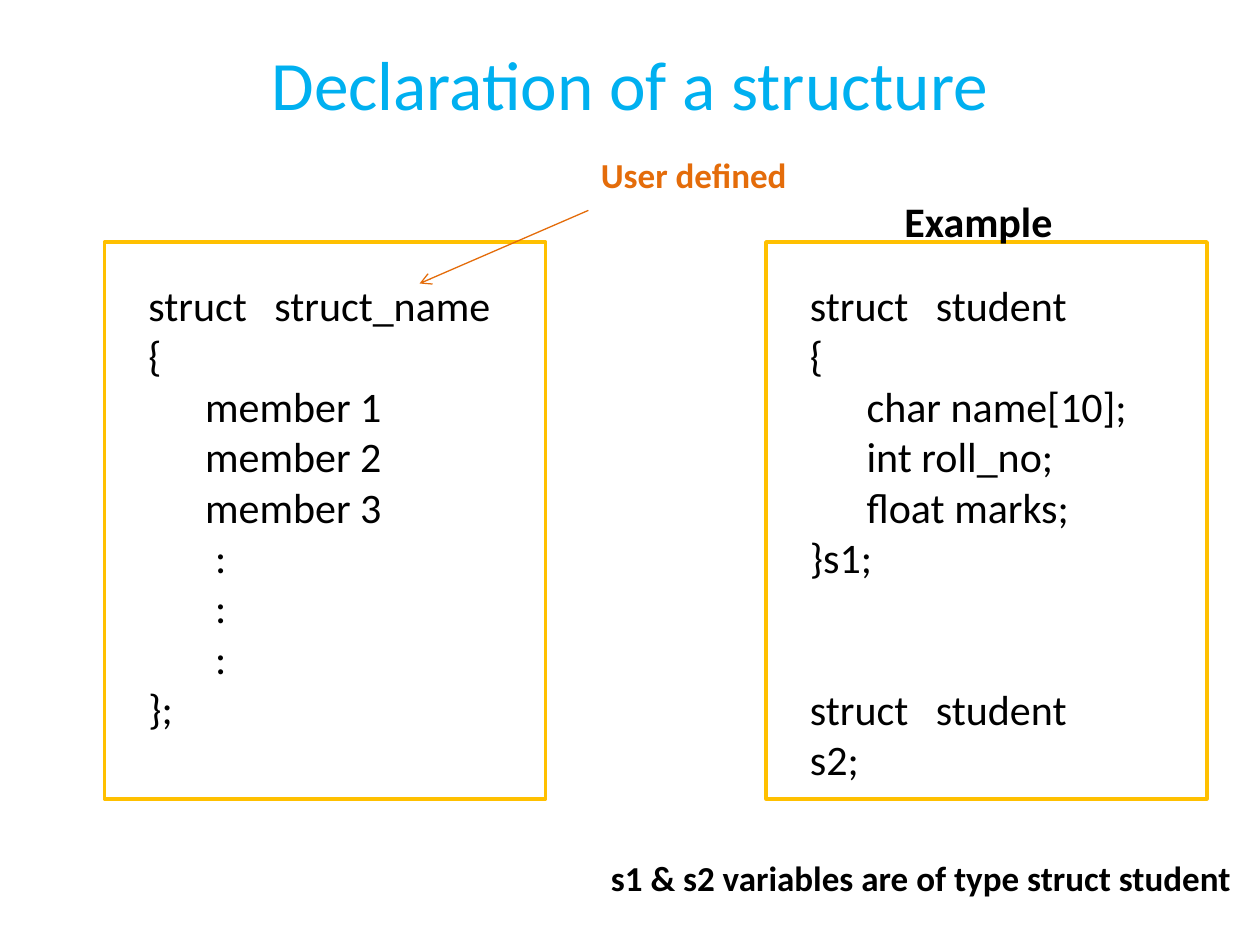
from pptx import Presentation
from pptx.dml.color import RGBColor as Rgb
from pptx.enum.shapes import MSO_CONNECTOR as Link, MSO_SHAPE as Shape
from pptx.enum.text import MSO_ANCHOR as Anchor, PP_ALIGN as Align
from pptx.oxml.xmlchemy import OxmlElement as Node
from pptx.util import Inches, Pt

HUES = {"title": "00B0F0", "text": "000000", "box": "FFC000", "note": "E46C0A"}
STEP, DOTS = 0.45, 0.53

LEFT = [
    ("struct\tstruct_name", 0, [1.01]),
    ("{", 0, []),
    ("member 1", STEP, []),
    ("member 2", STEP, []),
    ("member 3", STEP, []),
    (":", DOTS, []),
    (":", DOTS, []),
    (":", DOTS, []),
    ("};", 0, []),
]
RIGHT = [
    ("struct\tstudent", 0, [1.01]),
    ("{", 0, []),
    ("char name[10];", STEP, []),
    ("int roll_no;", STEP, []),
    ("float marks;", STEP, []),
    ("}s1;", 0, []),
    ("struct\tstudent\ts2;", 0, [0.94, 2.13]),
]


class Page:
    font = "Calibri"

    def __init__(self, deck):
        self.slide = deck.slides.add_slide(deck.slide_layouts[5])
        self.shapes = self.slide.shapes

    def style(self, para, size, hue, bold=False):
        for run in para.runs:
            font = run.font
            font.name, font.size, font.bold = self.font, Pt(size), bold
            font.color.rgb = Rgb.from_string(HUES[hue])

    def title(self, text):
        head = self.shapes.title
        head.left, head.top = Inches(0.5), Inches(0.33)
        head.width, head.height = Inches(9), Inches(1.25)
        frame = head.text_frame
        frame.text = text
        frame.vertical_anchor = Anchor.TOP
        frame.margin_top = 0
        para = frame.paragraphs[0]
        para.alignment = Align.CENTER
        self.style(para, 39.6, "title")

    def frame(self, x, y, w, h):
        box = self.shapes.add_textbox(Inches(x), Inches(y), Inches(w), Inches(h))
        box.text_frame.word_wrap = True
        return box.text_frame

    def label(self, text, x, y, w, h, size, hue="text"):
        frame = self.frame(x, y, w, h)
        frame.text = text
        self.style(frame.paragraphs[0], size, hue, True)

    def code(self, lines, x, y):
        frame = self.frame(x, y, 3, 3.74)
        for i, (text, inset, tabs) in enumerate(lines):
            para = frame.add_paragraph() if i else frame.paragraphs[0]
            para.text = text
            self.style(para, 24, "text")
            props = para._p.get_or_add_pPr()
            props.set("marL", str(Inches(inset)))
            props.set("indent", "0")
            if tabs:
                stops = Node("a:tabLst")
                for pos in tabs:
                    stop = Node("a:tab")
                    stop.set("pos", str(Inches(pos)))
                    stop.set("algn", "l")
                    stops.append(stop)
                props.append(stops)
        return frame

    def border(self, x, y, w, h):
        rect = self.shapes.add_shape(
            Shape.RECTANGLE, Inches(x), Inches(y), Inches(w), Inches(h))
        rect.shadow.inherit = False
        rect.fill.background()
        rect.line.color.rgb = Rgb.from_string(HUES["box"])
        rect.line.width = Pt(2)

    def arrow(self, x1, y1, x2, y2):
        link = self.shapes.add_connector(
            Link.STRAIGHT, Inches(x1), Inches(y1), Inches(x2), Inches(y2))
        link.line.color.rgb = Rgb.from_string(HUES["note"])
        link.line.width = Pt(0.75)
        tip = Node("a:tailEnd")
        tip.set("type", "arrow")
        link.line._get_or_add_ln().append(tip)
        link._element.spPr.append(Node("a:effectLst"))


def main():
    deck = Presentation()
    deck.slide_width, deck.slide_height = Inches(10), Inches(7.5)
    page = Page(deck)
    page.title("Declaration of a structure")
    for lines, x in ((LEFT, 0.83), (RIGHT, 6.08)):
        frame = page.code(lines, x + 0.25, 2.17)
        page.border(x, 1.92, 3.5, 4.42)
    frame.paragraphs[-1].space_before = Pt(58)
    page.label("User defined", 4.67, 1.17, 1.75, 0.44, 20, "note")
    page.arrow(4.67, 1.67, 3.33, 2.25)
    page.label("Example", 7.08, 1.5, 1.45, 0.5, 24)
    page.label("s1 & s2 variables are of type struct student",
               4.75, 6.75, 5.25, 0.44, 20)
    deck.save("out.pptx")


if __name__ == "__main__":
    main()
